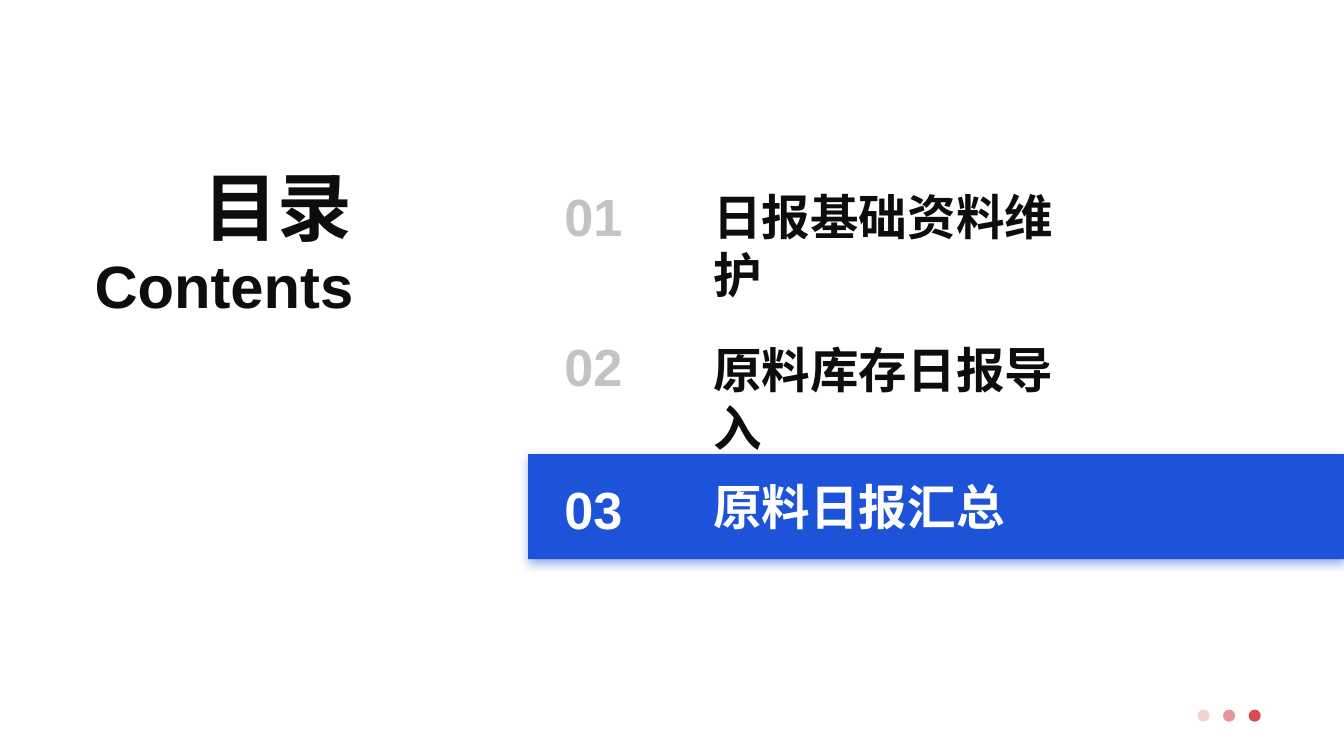
from lxml import etree
from pptx import Presentation
from pptx.dml.color import RGBColor
from pptx.enum.shapes import MSO_SHAPE
from pptx.enum.text import MSO_ANCHOR, PP_ALIGN
from pptx.oxml.ns import qn
from pptx.util import Inches, Pt

RECTANGLE, OVAL = MSO_SHAPE.RECTANGLE, MSO_SHAPE.OVAL
LEFT, RIGHT = PP_ALIGN.LEFT, PP_ALIGN.RIGHT
TOP = MSO_ANCHOR.TOP

LATIN, CHINESE = "Arial", "Noto Sans CJK SC"
BLUE, RED, INK, GREY, WHITE = "1C53D9", "D44D51", "0D0D0D", "C3C3C3", "FFFFFF"


def color(value):
    return RGBColor.from_string(value)


def add_text(page, box, text, size, font, ink, align=LEFT, wrap=True):
    """Place one bold paragraph in box (left, top, width, height)."""
    frame = page.shapes.add_textbox(*map(Inches, box)).text_frame
    frame.word_wrap = wrap
    frame.vertical_anchor = TOP
    para = frame.paragraphs[0]
    para.alignment = align
    span = para.add_run()
    span.text = text
    for name, value in {"name": font, "size": Pt(size), "bold": True}.items():
        setattr(span.font, name, value)
    span.font.color.rgb = color(ink)
    etree.SubElement(span.font._element, qn("a:ea"), typeface=font)


def add_filled(shapes, kind, box, fill, opacity=100):
    shape = shapes.add_shape(kind, *map(Inches, box))
    shape.shadow.inherit = False
    shape.fill.solid()
    shape.fill.fore_color.rgb = color(fill)
    shape.line.fill.background()
    if opacity < 100:
        tint = shape._element.spPr.find(".//" + qn("a:srgbClr"))
        etree.SubElement(tint, qn("a:alpha"), val=str(opacity * 1000))
    return shape


def add_soft_shadow(shape, tint, opacity, blur, distance):
    """Cast a shadow straight down; blur and distance in points."""
    effects = shape._element.spPr.find(qn("a:effectLst"))
    shadow = etree.SubElement(effects, qn("a:outerShdw"), blurRad=str(Pt(blur)),
                              dist=str(Pt(distance)), dir="5400000",
                              algn="t", rotWithShape="0")
    shade = etree.SubElement(shadow, qn("a:srgbClr"), val=tint)
    etree.SubElement(shade, qn("a:alpha"), val=str(opacity * 1000))


def add_heading(page, left, top, width):
    """Chinese title above its English twin, both flush right."""
    title_width = 1.32
    title_left = left + width - title_width - 0.01
    add_text(page, (title_left, top, title_width, 0.77), "目录", 40, CHINESE,
             INK, RIGHT)
    add_text(page, (left, top + 0.65, width, 0.64), "Contents", 32, LATIN, INK,
             RIGHT, wrap=False)


def add_entry(page, left, number_top, title_top, title_width, number, title, active):
    """One contents row: number, then title."""
    add_text(page, (left, number_top, 0.69, 0.57), number, 28, LATIN,
             WHITE if active else GREY)
    add_text(page, (left + 1.11, title_top, title_width, 0.54), title, 26, CHINESE,
             WHITE if active else INK)


def add_contents(page, left):
    # Highlight bar behind the current entry
    bar = add_filled(page.shapes, RECTANGLE, (left, 3.38, 10 - left, 0.78), BLUE)
    add_soft_shadow(bar, BLUE, opacity=46, blur=5, distance=2)

    entries = [
        (1.32, 1.34, 3.07, "01", "日报基础资料维护", False),
        (2.44, 2.48, 3.07, "02", "原料库存日报导入", False),
        (3.5, 3.5, 2.4, "03", "原料日报汇总", True),
    ]
    for entry in entries:
        add_entry(page, left + 0.17, *entry)


def add_dots(page, left, top, size, step):
    """Three dots that grow stronger to the right."""
    group = page.shapes.add_group_shape()
    for index, opacity in enumerate((25, 59, 100)):
        add_filled(group.shapes, OVAL, (left + index * step, top, size, size),
                   RED, opacity)


def main():
    deck = Presentation()
    deck.slide_width = Inches(10)
    deck.slide_height = deck.slide_width * 9 // 16  # widescreen
    page = deck.slides.add_slide(deck.slide_layouts[6])
    add_heading(page, 0.59, 1.15, 2.14)
    add_contents(page, 3.93)
    add_dots(page, 8.91, 5.28, 0.09, 0.19)
    deck.save("out.pptx")


if __name__ == "__main__":
    main()
